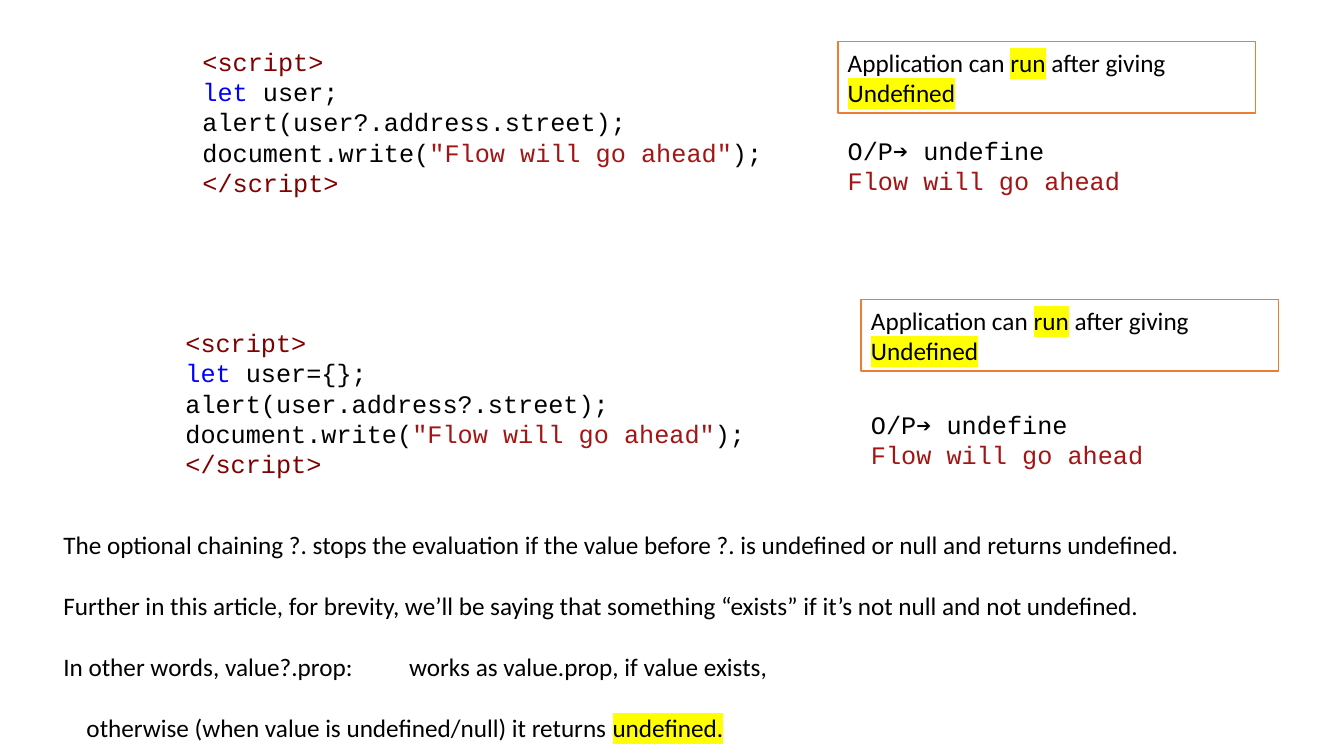
from lxml.etree import SubElement as Sub
from pptx import Presentation
from pptx.dml.color import RGBColor
from pptx.enum.shapes import MSO_SHAPE as Shape
from pptx.enum.text import MSO_ANCHOR as Anchor, MSO_AUTO_SIZE as Fit, PP_ALIGN as Align
from pptx.oxml.ns import qn
from pptx.util import Pt

BLACK = RGBColor(0x00, 0x00, 0x00)
WHITE = RGBColor(0xFF, 0xFF, 0xFF)
TAG = RGBColor(0x80, 0x00, 0x00)
WORD = RGBColor(0x00, 0x00, 0xFF)
QUOTE = RGBColor(0xA3, 0x15, 0x15)
ORANGE = RGBColor(0xED, 0x7D, 0x31)
MARK = RGBColor(0xFF, 0xFF, 0x00)

PX = 9144  # 100 px to the inch


class Deck:
    sans = "Calibri"
    mono = "Courier New"
    size = Pt(18)

    def __init__(self, wide, high):
        self.prs = Presentation()
        self.prs.slide_width = wide * PX
        self.prs.slide_height = high * PX
        self.slide = self.prs.slides.add_slide(self.prs.slide_layouts[6])

    def run(self, para, text, font, color=BLACK, mark=None):
        run = para.add_run()
        run.text = text
        run.font.size = self.size
        run.font.color.rgb = color
        if mark is not None:
            light = Sub(run.font._element, qn("a:highlight"))
            Sub(light, qn("a:srgbClr"), val=str(mark))
        run.font.name = font

    def fill(self, frame, lines, font, gap=0):
        """Write lines, each a list of (text, color, mark) runs."""
        frame.word_wrap = True
        frame.auto_size = Fit.SHAPE_TO_FIT_TEXT
        for i, line in enumerate(lines):
            para = frame.add_paragraph() if i else frame.paragraphs[0]
            para.alignment = Align.LEFT
            if i and gap:
                para.space_before = Pt(gap)
            for part in line:
                self.run(para, part[0], font, *part[1:])
        return frame.paragraphs

    def text(self, box, lines, font, gap=0):
        area = self.slide.shapes.add_textbox(*(n * PX for n in box))
        return self.fill(area.text_frame, lines, font, gap)

    def card(self, box, lines):
        card = self.slide.shapes.add_shape(Shape.RECTANGLE, *(n * PX for n in box))
        card.shadow.inherit = False
        card.fill.solid()
        card.fill.fore_color.rgb = WHITE
        card.line.color.rgb = ORANGE
        card.line.width = Pt(1)
        card.text_frame.vertical_anchor = Anchor.MIDDLE
        self.fill(card.text_frame, lines, self.sans)

    def indent(self, para, left):
        para._p.get_or_add_pPr().set("marL", str(left * PX))

    def tab(self, para, at):
        tabs = Sub(para._p.get_or_add_pPr(), qn("a:tabLst"))
        Sub(tabs, qn("a:tab"), pos=str(at * PX), algn="l")


def main():
    deck = Deck(1333, 750)

    # Two examples: code, remark and output
    remark = [[("Application can ",), ("run", BLACK, MARK),
               (" after giving ",), ("Undefined", BLACK, MARK)]]
    output = [[("O/P➔ undefine",)], [("Flow will go ahead", QUOTE)]]
    examples = [
        (" user;", "alert(user?.address.street);", (191, 41), (831, 41), 129),
        (" user={};", "alert(user.address?.street);", (174, 320), (854, 297), 401),
    ]
    for user, alert, code, note, out in examples:
        deck.text((*code, 671, 162), [
            [("<script>", TAG)],
            [("let", WORD), (user,)],
            [(alert,)],
            [("document.write(",), ('"Flow will go ahead"', QUOTE), (");",)],
            [("</script>", TAG)],
        ], deck.mono)
        deck.card((*note, 414, 71), remark)
        deck.text((note[0], out, 427, 71), output, deck.mono)

    # Explanation
    paras = deck.text((53, 520, 1247, 222), [
        [("The optional chaining ?. stops the evaluation if the value before ?. "
          "is undefined or null and returns undefined.",)],
        [("Further in this article, for brevity, we’ll be saying that something "
          "“exists” if it’s not null and not undefined.",)],
        [("In other words, value?.prop:\tworks as value.prop, if value exists,",)],
        [("otherwise (when value is undefined/null) it returns ",),
         ("undefined.", BLACK, MARK)],
    ], deck.sans, gap=22)
    deck.tab(paras[2], 343)
    deck.indent(paras[3], 23)

    deck.prs.save("out.pptx")


if __name__ == "__main__":
    main()
